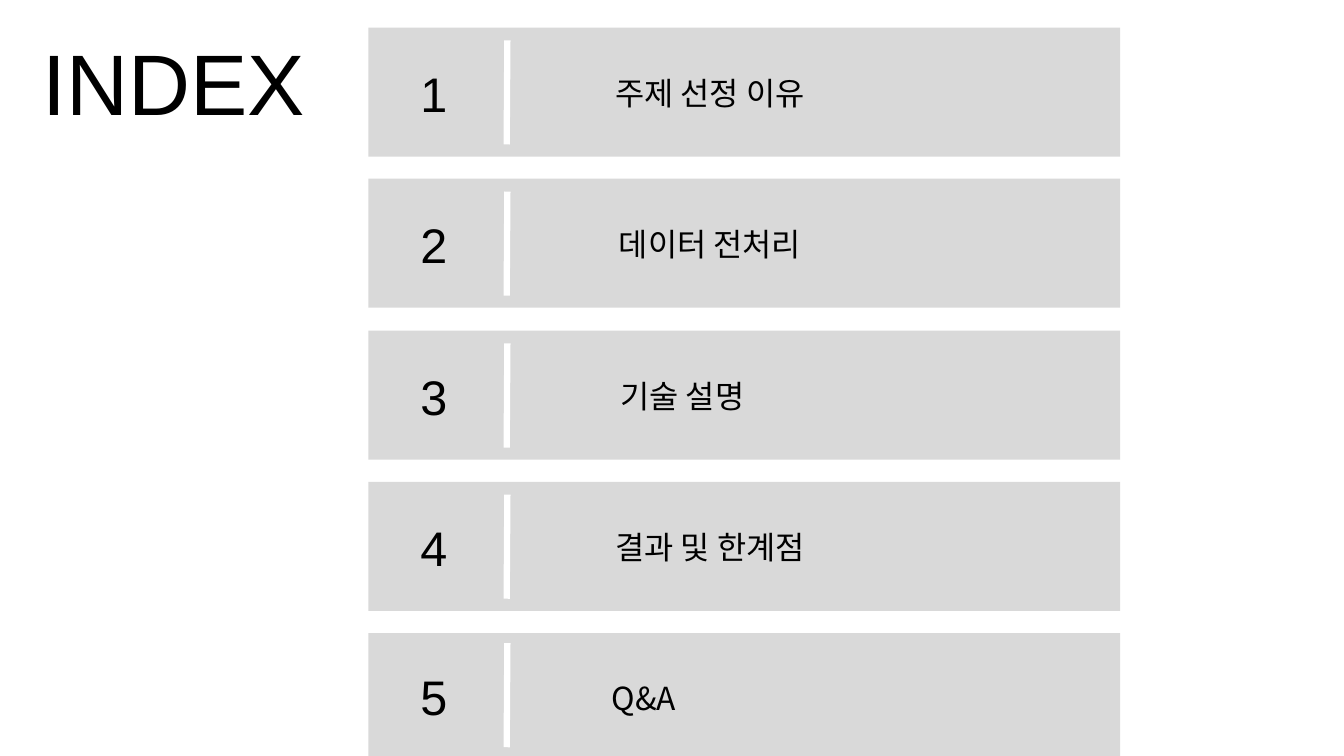
"""Build the INDEX slide: five numbered agenda bars beside a large title."""
from pptx import Presentation
from pptx.dml.color import RGBColor
from pptx.enum.shapes import MSO_CONNECTOR, MSO_SHAPE
from pptx.enum.text import MSO_ANCHOR, MSO_AUTO_SIZE, PP_ALIGN
from pptx.oxml.ns import qn
from pptx.util import Emu, Pt
from lxml.etree import SubElement

PX = 9144
WIDTH, HEIGHT = 2000, 1125
TOPICS = [
    ("주제 선정 이유", 315),
    ("데이터 전처리", 315),
    ("기술 설명", 233),
    ("결과 및 한계점", 315),
    ("Q&A", 118),
]


def px(length):
    return Emu(length * PX)


def color(value):
    return RGBColor.from_string(value)


class IndexPage:
    ink, gray, white = "000000", "D9D9D9", "FFFFFF"
    latin, korean = "Arial", "Noto Sans CJK KR"

    def __init__(self, page):
        self.page = page

    def fill_text(self, box, text, size, font):
        frame = box.text_frame
        frame.text = text
        frame.word_wrap = True
        frame.auto_size = MSO_AUTO_SIZE.NONE
        frame.vertical_anchor = MSO_ANCHOR.TOP
        frame.margin_left = frame.margin_right = 0
        frame.margin_top = frame.margin_bottom = 0
        para = frame.paragraphs[0]
        para.alignment = PP_ALIGN.CENTER
        para.line_spacing = Pt(round(size * 1.4, 1))
        para.space_before = Pt(0)
        span = para.runs[0]
        span.font.size = Pt(size)
        span.font.color.rgb = color(self.ink)
        span.font.name = font
        SubElement(span.font._element, qn("a:ea"), typeface=font)

    def title(self, text, left, top, width, height):
        box = self.page.shapes.title
        box.left, box.top, box.width, box.height = map(px, (left, top, width, height))
        self.fill_text(box, text, 92, self.latin)

    def text(self, text, left, top, width, height, size, font):
        box = self.page.shapes.add_textbox(*map(px, (left, top, width, height)))
        self.fill_text(box, text, size, font)

    def bar(self, left, top, width, height):
        box = self.page.shapes.add_shape(
            MSO_SHAPE.RECTANGLE, *map(px, (left, top, width, height)))
        box.shadow.inherit = False
        box.fill.solid()
        box.fill.fore_color.rgb = color(self.gray)
        box.line.fill.background()

    def divider(self, *ends):
        line = self.page.shapes.add_connector(MSO_CONNECTOR.STRAIGHT, *map(px, ends))
        line.line.color.rgb = color(self.white)
        line.line.width = Pt(6.75)
        SubElement(line._element.spPr, qn("a:effectLst"))


def main():
    deck = Presentation()
    deck.slide_width, deck.slide_height = px(WIDTH), px(HEIGHT)
    index = IndexPage(deck.slides.add_slide(deck.slide_layouts[5]))
    index.title("INDEX", 51, 18, 415, 165)
    for row, (topic, width) in enumerate(TOPICS):
        top = 41 + round(row * 225.3)
        lift = 4 if row == len(TOPICS) - 1 else 0
        index.bar(548, top, 1119, min(192, HEIGHT - top))
        index.divider(754, top + 174 - lift, 755, top + 19 - lift)
        index.text(str(row + 1), 598, top + 40 - lift, 95, 99, 52, index.latin)
        index.text(topic, 899, top + 59, width, 59, 34, index.korean)
    deck.save("out.pptx")


if __name__ == "__main__":
    main()
